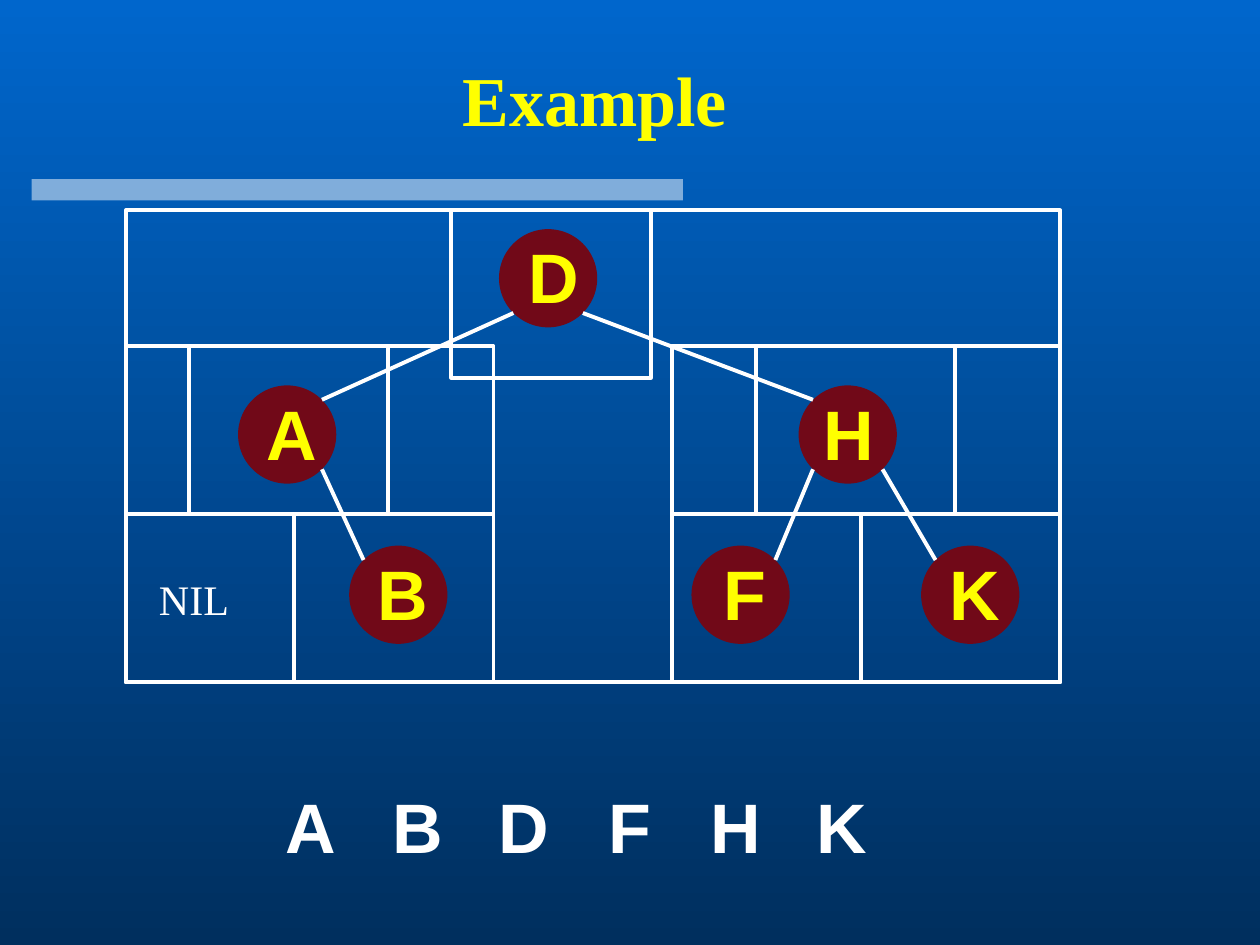
from math import sqrt

from lxml.etree import SubElement
from pptx import Presentation
from pptx.dml.color import RGBColor
from pptx.enum.shapes import MSO_CONNECTOR, MSO_SHAPE
from pptx.enum.text import MSO_ANCHOR, MSO_AUTO_SIZE, PP_ALIGN
from pptx.oxml.ns import qn
from pptx.util import Cm, Pt

WHITE, YELLOW, MAROON = "FFFFFF", "FFFF00", "710918"
DIAMETER = 1.98
LETTER_WIDTH, LETTER_HEIGHT = 1.55, 1.96

# Key: left and top of the circle, shift of the letter inside it
NODES = {
    "D": (10.06, 4.62, 0.33),
    "A": (4.8, 7.77, 0.31),
    "H": (16.1, 7.77, 0.23),
    "B": (7.04, 11, 0.31),
    "F": (13.94, 11, 0.31),
    "K": (18.57, 11, 0.31),
}
# Parent, child, side of the parent (-1 left, 1 right)
EDGES = [("D", "A", -1), ("D", "H", 1), ("A", "B", 1), ("H", "F", -1), ("H", "K", 1)]

# Horizontal levels and outer sides of the nested frames
TOP, MIDDLE, LOWER, BOTTOM = 4.24, 6.98, 10.37, 13.75
LEFT, RIGHT = 2.54, 21.37
LEFT_END, RIGHT_START = 9.95, 13.54
# Left, top, right, bottom
FRAMES = [
    (LEFT, TOP, RIGHT, BOTTOM),
    (LEFT, MIDDLE, LEFT_END, BOTTOM),
    (LEFT, LOWER, 5.92, BOTTOM),
    (3.81, MIDDLE, 7.82, LOWER),
    (5.92, LOWER, LEFT_END, BOTTOM),
    (RIGHT_START, MIDDLE, RIGHT, BOTTOM),
    (RIGHT_START, LOWER, 17.36, BOTTOM),
    (15.24, MIDDLE, 19.25, LOWER),
    (17.36, LOWER, RIGHT, BOTTOM),
    (9.1, TOP, 13.12, 7.62),
]


def color(value):
    return RGBColor.from_string(value)


def paint_background(page):
    fill = page.background.fill
    fill.gradient()
    fill.gradient_angle = 270
    for stop, value, position in zip(fill.gradient_stops, ("0066CC", "002F5E"), (0, 1)):
        stop.color.rgb = color(value)
        stop.position = position


def add_solid(shapes, kind, left, top, width, height, value):
    shape = shapes.add_shape(kind, Cm(left), Cm(top), Cm(width), Cm(height))
    shape.shadow.inherit = False
    shape.fill.solid()
    shape.fill.fore_color.rgb = color(value)
    shape.line.fill.background()
    return shape


def add_text(shapes, text, left, top, width, height, value,
             size=40, font="Arial", bold=True, wrap=False):
    box = shapes.add_textbox(Cm(left), Cm(top), Cm(width), Cm(height))
    frame = box.text_frame
    frame.word_wrap = wrap
    frame.auto_size = MSO_AUTO_SIZE.SHAPE_TO_FIT_TEXT
    frame.text = text
    para = frame.paragraphs[0]
    para.alignment = PP_ALIGN.CENTER
    span = para.runs[0].font
    span.size, span.name, span.bold = Pt(size), font, bold
    span.color.rgb = color(value)
    return box


def add_node(page, key):
    left, top, shift = NODES[key]
    shapes = page.shapes.add_group_shape().shapes
    add_solid(shapes, MSO_SHAPE.OVAL, left, top, DIAMETER, DIAMETER, MAROON)
    add_text(shapes, key, left + shift, top - 0.03, LETTER_WIDTH, LETTER_HEIGHT,
             YELLOW, wrap=True)


def rim_point(key, across, down):
    """Point on a circle's rim, on the diagonal given by two signs."""
    left, top, _ = NODES[key]
    radius = DIAMETER / 2
    reach = radius / sqrt(2)
    return Cm(left + radius + across * reach), Cm(top + radius + down * reach)


def add_edge(page, parent, child, side):
    edge = page.shapes.add_connector(
        MSO_CONNECTOR.STRAIGHT, *rim_point(parent, side, 1), *rim_point(child, -side, -1))
    edge.line.color.rgb = color(WHITE)
    edge.line.width = Pt(2.25)
    SubElement(edge._element.spPr, qn("a:effectLst"))


def add_frame(page, left, top, right, bottom):
    frame = page.shapes.add_shape(
        MSO_SHAPE.RECTANGLE, Cm(left), Cm(top), Cm(right - left), Cm(bottom - top))
    frame.shadow.inherit = False
    frame.fill.background()
    frame.line.color.rgb = color(WHITE)
    frame.line.width = Pt(2.25)


def main():
    deck = Presentation()
    deck.slide_width, deck.slide_height = Cm(25.4), Cm(19.05)
    page = deck.slides.add_slide(deck.slide_layouts[6])
    paint_background(page)

    # Half-transparent bar and title
    bar = add_solid(page.shapes, MSO_SHAPE.RECTANGLE, 0.64, 3.61, 13.13, 0.43, WHITE)
    tint = bar.fill._xPr.find(qn("a:solidFill"))[0]
    SubElement(tint, qn("a:alpha"), val="50000")
    title = add_text(page.shapes, "Example", 0.74, 0.81, 22.5, 2.36, YELLOW,
                     font="Times New Roman", wrap=True)
    title.text_frame.auto_size = MSO_AUTO_SIZE.NONE
    title.text_frame.vertical_anchor = MSO_ANCHOR.MIDDLE

    # Binary search tree
    for key in NODES:
        add_node(page, key)
    for edge in EDGES:
        add_edge(page, *edge)

    # Nested frames around the subtrees
    for frame in FRAMES:
        add_frame(page, *frame)
    add_text(page.shapes, "NIL", 2.86, 11.43, 2.1, 1.27, WHITE,
             size=24, font="Times New Roman", bold=False)

    # Keys in sorted order
    for index, key in enumerate(sorted(NODES)):
        add_text(page.shapes, key, 5.5 + index * 2.14, 15.67, LETTER_WIDTH,
                 LETTER_HEIGHT, WHITE)

    deck.save("out.pptx")


if __name__ == "__main__":
    main()
